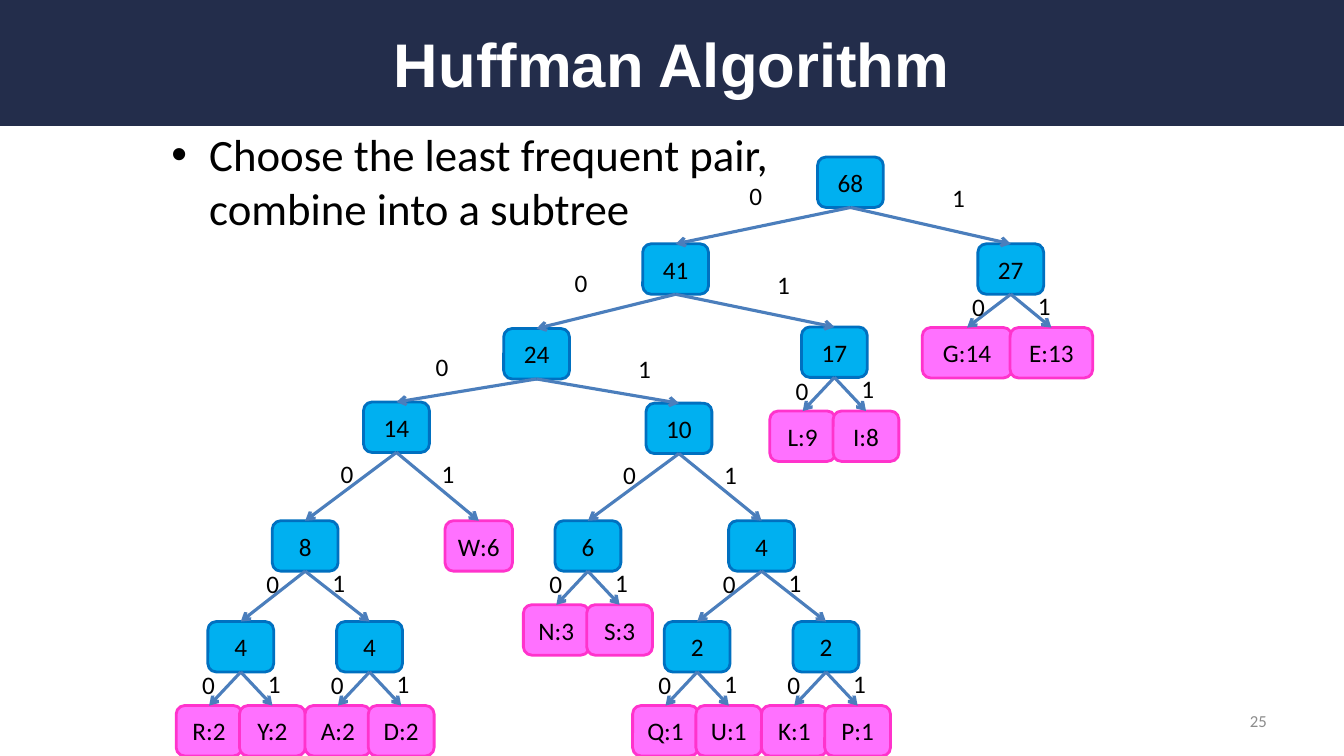
"""Build the Huffman tree slide, with each node keyed by its code."""
import pptx
import pptx.dml.color
import pptx.enum.shapes
import pptx.enum.text
import pptx.util
from lxml import etree

Pt = pptx.util.Pt
ALIGN = pptx.enum.text.PP_ALIGN
ANCHOR = pptx.enum.text.MSO_ANCHOR
SHAPE = pptx.enum.shapes.MSO_SHAPE
COLORS = {
    "banner": "232D4B", "title": "FFFFFF", "text": "000000", "number": "8C8C8C",
    "leaf": "FF71FF", "leaf_edge": "FF33CC",
    "branch": "00B0F0", "branch_edge": "0070C0", "arrow": "4B7EBC",
}
NODE_WIDTH, NODE_HEIGHT = 47, 36
NODE_WIDTHS = {"G:14": 64, "E:13": 59, "W:6": 48.2}

# code: (label, centre, top)
NODES = {
    "": ("68", 607.5, 112.2),
    "0": ("41", 482.6, 174.2),
    "1": ("27", 722, 174.2),
    "00": ("24", 383.3, 234.7),
    "01": ("17", 596, 233.6),
    "10": ("G:14", 690.8, 234),
    "11": ("E:13", 751, 234),
    "000": ("14", 283.2, 287.2),
    "001": ("10", 485, 288),
    "0000": ("8", 218, 372),
    "0001": ("W:6", 342, 372),
    "0010": ("6", 420, 372),
    "0011": ("4", 544, 372),
    "00000": ("4", 172, 444),
    "00001": ("4", 264, 444),
    "00110": ("2", 498, 444),
    "00111": ("2", 590, 444),
}
LEAF_PAIRS = {
    "01": ("L:9", "I:8"),
    "0010": ("N:3", "S:3"),
    "00000": ("R:2", "Y:2"),
    "00001": ("A:2", "D:2"),
    "00110": ("Q:1", "U:1"),
    "00111": ("K:1", "P:1"),
}
for code, labels in LEAF_PAIRS.items():
    parent_label, center, top = NODES[code]
    for bit, label, shift in zip("01", labels, (-22.6, 22.6)):
        NODES[code + bit] = (label, center + shift, top + 60)

WIDE = {"0": (-79.2, 13), "1": (65.5, 14.4)}
MEDIUM = {"0": (-47, 36.8), "1": (25.2, 36.8)}
NARROW = {"0": (-34.7, 30.6), "1": (12.3, 29.6)}
BIT_OFFSETS = {"": WIDE, "0": WIDE, "00": WIDE, "000": MEDIUM, "001": MEDIUM}


def rgb(name):
    return pptx.dml.color.RGBColor.from_string(COLORS[name])


def write(shape, text, size, color="text", align=None, font="Calibri", bold=False):
    paragraph = shape.text_frame.paragraphs[0]
    if align is not None:
        paragraph.alignment = align
    run = paragraph.add_run()
    run.text = text
    run.font.name = font
    run.font.size = Pt(size)
    run.font.bold = bold
    run.font.color.rgb = rgb(color)


presentation = pptx.Presentation()
presentation.slide_width = Pt(960)
presentation.slide_height = Pt(540)
slide = presentation.slides.add_slide(presentation.slide_layouts[1])

title = slide.shapes.title
title.left, title.top, title.width, title.height = Pt(48), Pt(12), Pt(864), Pt(66)
title.text_frame.vertical_anchor = ANCHOR.MIDDLE
write(title, "Huffman Algorithm", 44, "title", ALIGN.CENTER, "Arial", True)

banner = slide.shapes.add_shape(SHAPE.RECTANGLE, Pt(0), Pt(0), Pt(960), Pt(90))
banner.shadow.inherit = False
banner.fill.solid()
banner.fill.fore_color.rgb = rgb("banner")
banner.line.fill.background()
title.element.addprevious(banner.element)

body = slide.placeholders[1]
body.left, body.top, body.width, body.height = Pt(115.2), Pt(84), Pt(532.8), Pt(90)
body.text_frame.vertical_anchor = ANCHOR.MIDDLE
write(body, "Choose the least frequent pair, combine into a subtree", 32)

number = slide.shapes.add_textbox(Pt(688), Pt(500.5), Pt(224), Pt(28.8))
number.text_frame.word_wrap = True
number.text_frame.vertical_anchor = ANCHOR.MIDDLE
write(number, "25", 12, "number", ALIGN.RIGHT)

boxes = {}
for code in sorted(NODES, key=lambda code: (-len(code), code)):
    label, center, top = NODES[code]
    is_branch = code + "0" in NODES
    kind = "branch" if is_branch else "leaf"
    width = NODE_WIDTHS.get(label, NODE_WIDTH)
    box = slide.shapes.add_shape(
        SHAPE.ROUNDED_RECTANGLE, Pt(center - width / 2), Pt(top), Pt(width), Pt(NODE_HEIGHT))
    box.shadow.inherit = False
    box.fill.solid()
    box.fill.fore_color.rgb = rgb(kind)
    box.line.color.rgb = rgb(kind + "_edge")
    box.line.width = Pt(2)
    box.text_frame.word_wrap = False
    box.text_frame.vertical_anchor = ANCHOR.MIDDLE
    write(box, label, 18, align=ALIGN.CENTER)
    boxes[code] = box
    if not is_branch:
        continue
    for bit, (shift, drop) in BIT_OFFSETS.get(code, NARROW).items():
        arrow = slide.shapes.add_connector(
            pptx.enum.shapes.MSO_CONNECTOR.STRAIGHT, Pt(0), Pt(0), Pt(0), Pt(0))
        arrow.begin_connect(box, 2)
        arrow.end_connect(boxes[code + bit], 0)
        arrow.line.color.rgb = rgb("arrow")
        arrow.line.width = Pt(2.25)
        line = arrow.line._get_or_add_ln()
        etree.SubElement(line, pptx.oxml.ns.qn("a:tailEnd"), type="arrow")
        etree.SubElement(arrow.element.spPr, pptx.oxml.ns.qn("a:effectLst"))
        bit_label = slide.shapes.add_textbox(
            Pt(center + shift), Pt(top + drop), Pt(23.8), Pt(29))
        bit_label.text_frame.word_wrap = False
        write(bit_label, bit, 18)

presentation.save("out.pptx")
